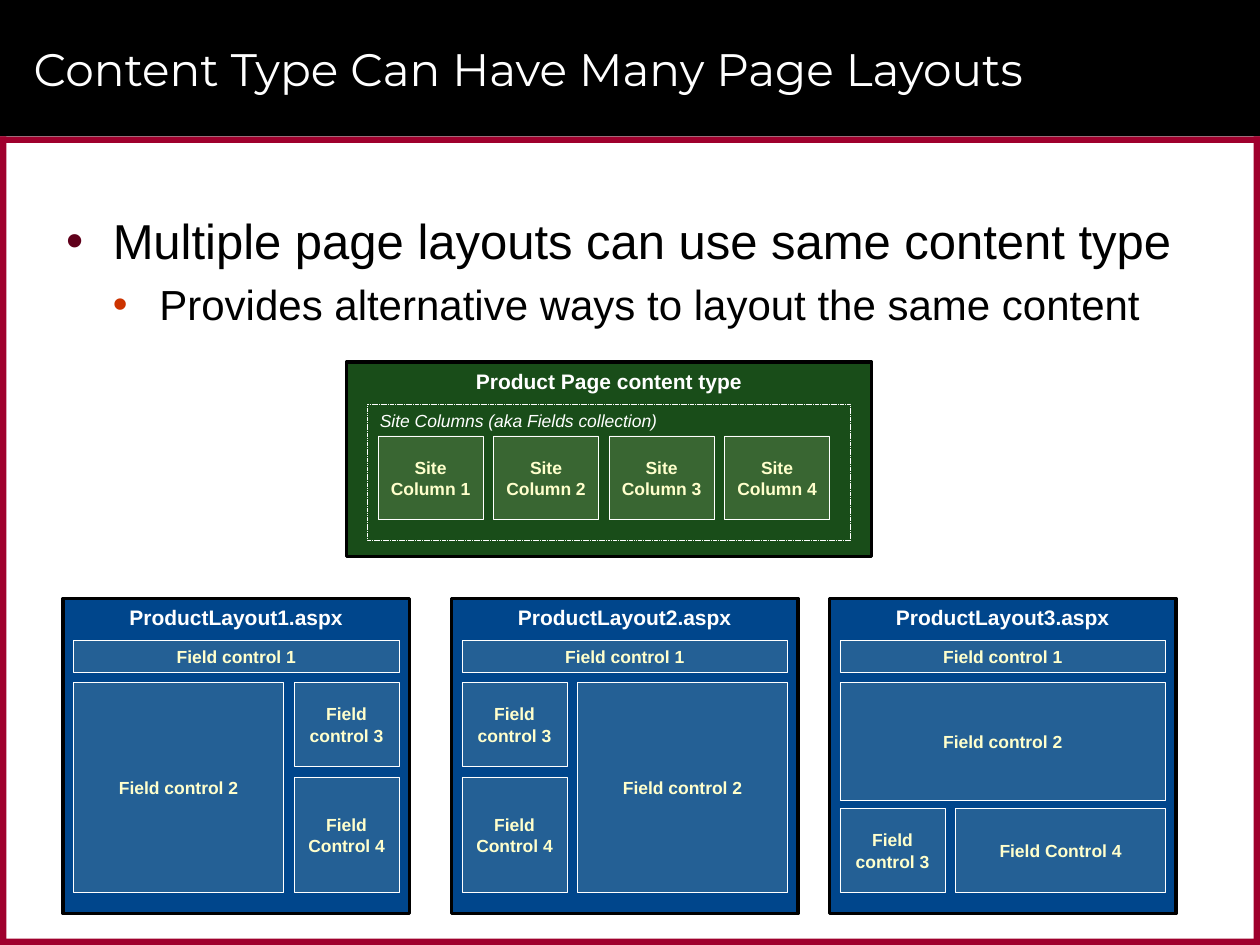
"""Build a slide on one content type served by several page layouts."""
from dataclasses import dataclass

from lxml import etree
from pptx import Presentation
from pptx import util as u
from pptx.dml.color import RGBColor
from pptx.enum import dml, shapes, text
from pptx.oxml.ns import qn

COLS, ROWS = 120, 90
WIDE, HIGH = u.Inches(10), u.Inches(7.5)
RED, PALE, WHITE, BLACK = "9F002D", "FFFFCC", "FFFFFF", "000000"
BLUE, GREEN = "00468C", "194D19"


@dataclass
class Area:
    """A rectangle in grid columns and rows."""
    col: float
    row: float
    wide: float
    high: float

    def place(self) -> tuple:
        """Return left, top, width and height in slide units."""
        return (u.Emu(round(self.col * WIDE / COLS)), u.Emu(round(self.row * HIGH / ROWS)),
                u.Emu(round(self.wide * WIDE / COLS)), u.Emu(round(self.high * HIGH / ROWS)))

    def inner(self, cell: "Area") -> "Area":
        """Shift a cell from this area's corner to the slide's."""
        return Area(self.col + cell.col, self.row + cell.row, cell.wide, cell.high)


@dataclass
class Look:
    """How a box and its label are drawn."""
    fill: str
    line: str = ""
    width: float = 0.25
    ink: str = WHITE
    size: float = 10
    bold: bool = True
    italic: bool = False
    align: int = text.PP_ALIGN.CENTER
    anchor: int = text.MSO_ANCHOR.TOP
    alpha: int = 100
    dash: bool = False
    inset: float = 0.1


@dataclass
class Page:
    """A page layout with the areas of its field controls."""
    name: str
    col: float
    cells: tuple


PANEL = Look(BLUE, BLACK, 2, size=12)
TYPE = Look(GREEN, BLACK, 2, size=12)
GROUP = Look(GREEN, WHITE, bold=False, italic=True, align=text.PP_ALIGN.LEFT, dash=True)
FIELD = Look(PALE, WHITE, ink=PALE, anchor=text.MSO_ANCHOR.MIDDLE, alpha=14, inset=0.05)

TOP = Area(1, 4, 31, 3)
LABELS = ("Field control 1", "Field control 2", "Field control 3", "Field Control 4")
PAGES = (
    Page("ProductLayout1.aspx", 6,
         (TOP, Area(1, 8, 20, 20), Area(22, 8, 10, 8), Area(22, 17, 10, 11))),
    Page("ProductLayout2.aspx", 43,
         (TOP, Area(12, 8, 20, 20), Area(1, 8, 10, 8), Area(1, 17, 10, 11))),
    Page("ProductLayout3.aspx", 79,
         (TOP, Area(1, 8, 31, 11.25), Area(1, 20, 10, 8), Area(12, 20, 20, 8))),
)


def paint(item, tint: str) -> None:
    """Set the colour of a fill."""
    item.solid()
    item.fore_color.rgb = RGBColor.from_string(tint)


def style(para, size: float, ink: str, face: str = "Arial") -> None:
    """Format the runs of a paragraph."""
    for run in para.runs:
        run.font.name, run.font.size = face, u.Pt(size)
        paint(run.font.fill, ink)


def box(slide, area: Area, look: Look, label: str = "") -> None:
    """Draw a rectangle, with a label if one is given."""
    rect = slide.shapes.add_shape(shapes.MSO_SHAPE.RECTANGLE, *area.place())
    rect.shadow.inherit = False
    paint(rect.fill, look.fill)
    if look.alpha < 100:
        tint = rect.element.spPr.find(qn("a:solidFill"))[0]
        etree.SubElement(tint, qn("a:alpha"), val=str(look.alpha * 1000))
    if look.line:
        paint(rect.line.fill, look.line)
        rect.line.width = u.Pt(look.width)
        if look.dash:
            rect.line.dash_style = dml.MSO_LINE.SQUARE_DOT
    else:
        rect.line.fill.background()
    if label:
        frame = rect.text_frame
        frame.text, frame.word_wrap = label, True
        frame.vertical_anchor = look.anchor
        frame.margin_left = frame.margin_right = u.Inches(look.inset)
        para = frame.paragraphs[0]
        para.alignment = look.align
        style(para, look.size, look.ink)
        para.runs[0].font.bold, para.runs[0].font.italic = look.bold, look.italic


def bullet(para, words: str, left: float, dot: str, size: float) -> None:
    """Write a paragraph with a hanging, coloured bullet."""
    para.text = words
    props = para._p.get_or_add_pPr()
    props.set("marL", str(u.Inches(left)))
    props.set("indent", str(u.Inches(-0.37)))
    tint = etree.SubElement(props, qn("a:buClr"))
    etree.SubElement(tint, qn("a:srgbClr"), val=dot)
    etree.SubElement(props, qn("a:buFont"), typeface="Arial")
    etree.SubElement(props, qn("a:buChar"), char="•")
    style(para, size, BLACK)


def border(slide) -> None:
    """Draw the black band and the red edges."""
    head, edge = 13, 0.6
    tall = ROWS - head
    box(slide, Area(0, 0, COLS, head), Look(BLACK))
    for area in (Area(0, head, COLS, edge), Area(0, ROWS - edge, COLS, edge),
                 Area(COLS - edge, head, edge, tall), Area(0, head, edge, tall)):
        box(slide, area, Look(RED))


def heading(slide) -> None:
    """Fill the title and bring it in front of the band."""
    title = slide.shapes.title
    title.element.getparent().append(title.element)
    title.left, title.top, title.width, title.height = Area(2, 1, 113, 11).place()
    frame = title.text_frame
    frame.text = "Content Type Can Have Many Page Layouts"
    frame.auto_size = text.MSO_AUTO_SIZE.NONE
    frame.vertical_anchor = text.MSO_ANCHOR.MIDDLE
    frame.paragraphs[0].alignment = text.PP_ALIGN.LEFT
    style(frame.paragraphs[0], 26, WHITE, "Montserrat")


def points(slide) -> None:
    """Write the two bullet points."""
    frame = slide.shapes.add_textbox(*Area(5, 19.5, 110, 14).place()).text_frame
    frame.word_wrap = True
    first, second = frame.paragraphs[0], frame.add_paragraph()
    bullet(first, "Multiple page layouts can use same content type", 0.38, "60001B", 28)
    first.space_after = u.Pt(2)
    bullet(second, "Provides alternative ways to layout the same content", 0.75, "CC3300", 24)
    second.level = 1
    second.space_before = second.space_after = u.Pt(3)


def content(slide) -> None:
    """Draw the content type and its site columns."""
    box(slide, Area(33, 34.5, 50, 18.5), TYPE, "Product Page content type")
    box(slide, Area(35, 38.5, 46, 13), GROUP, "Site Columns (aka Fields collection)")
    for num in range(4):
        box(slide, Area(36 + 11 * num, 41.5, 10, 8), FIELD, f"Site Column {num + 1}")


def layout(slide, page: Page) -> None:
    """Draw a page layout and its field controls."""
    panel = Area(page.col, 57, 33, 30)
    box(slide, panel, PANEL, page.name)
    for cell, label in zip(page.cells, LABELS):
        box(slide, panel.inner(cell), FIELD, label)


def main() -> None:
    """Build and save the slide."""
    deck = Presentation()
    deck.slide_width, deck.slide_height = WIDE, HIGH
    slide = deck.slides.add_slide(deck.slide_layouts[5])
    border(slide)
    heading(slide)
    points(slide)
    content(slide)
    for page in PAGES:
        layout(slide, page)
    deck.save("out.pptx")


if __name__ == "__main__":
    main()
